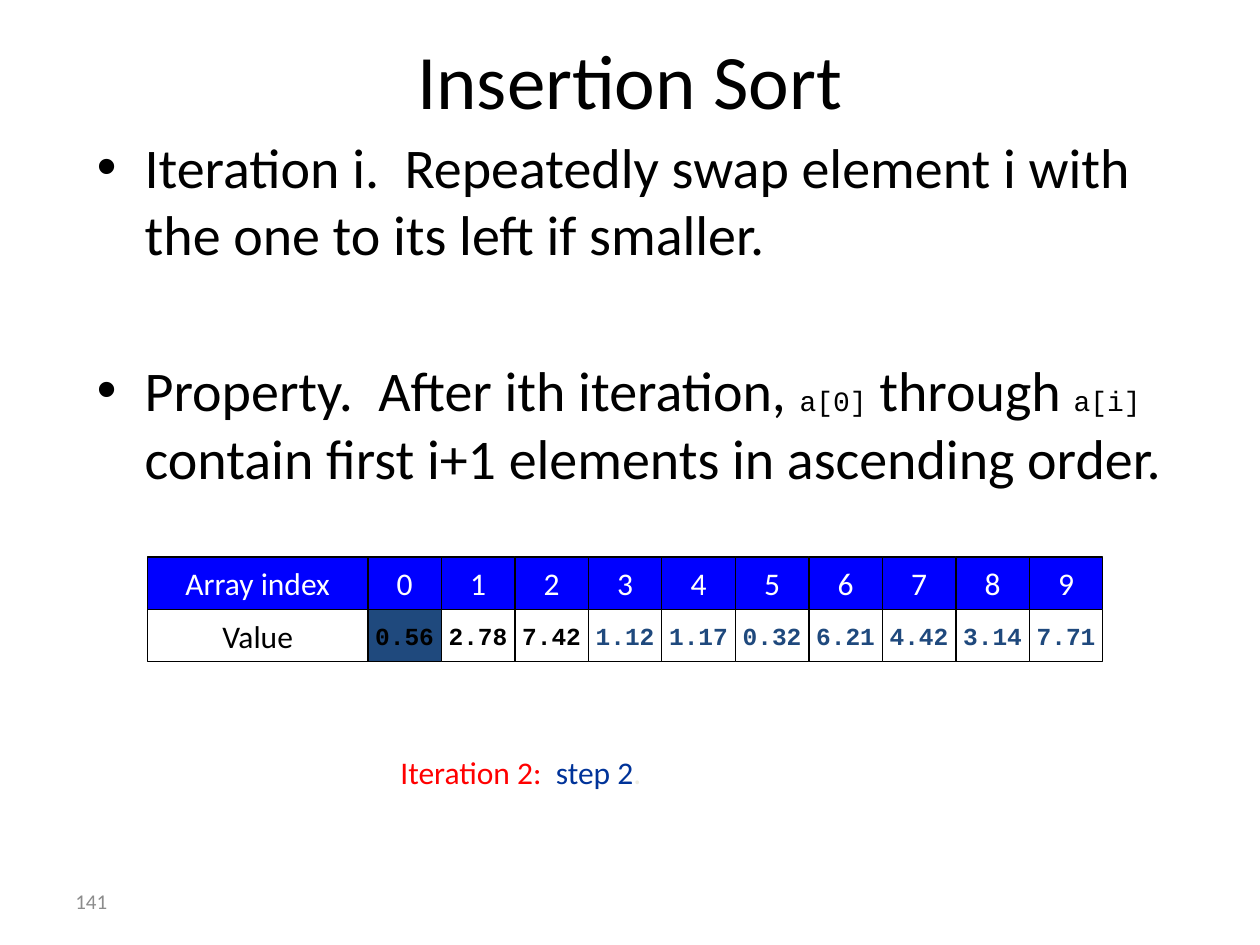
from lxml import etree
from pptx import Presentation
from pptx.dml.color import RGBColor
from pptx.enum.shapes import MSO_SHAPE
from pptx.enum.text import MSO_ANCHOR, PP_ALIGN
from pptx.oxml.ns import qn
from pptx.util import Inches, Pt

BLACK, WHITE, RED, BLUE = "000000", "FFFFFF", "FF0000", "0000FF"
NAVY, ROYAL, GRAY, CREAM = "1F497D", "003399", "8C8C8C", "EEECE1"
BODY, CODE = "Calibri", "Courier New"


def color(value):
    """Turn a hex string into a colour."""
    return RGBColor.from_string(value)


class SlideBuilder:
    """Holds the text style and the slide being built."""

    def __init__(self, slide, font=BODY, size=18, ink=BLACK):
        self.slide, self.font, self.size, self.ink = slide, font, size, ink

    def run(self, paragraph, text, size=None, ink=None, font=None, bold=False):
        """Add one styled run to a paragraph."""
        run = paragraph.add_run()
        run.text = text
        run.font.name = font or self.font
        run.font.size = Pt(size or self.size)
        run.font.bold = bold
        run.font.color.rgb = color(ink or self.ink)

    def text(self, box, runs, align=PP_ALIGN.LEFT, anchor=MSO_ANCHOR.TOP):
        """Add a wrapping text box with one paragraph and return its frame."""
        frame = self.slide.shapes.add_textbox(*map(Inches, box)).text_frame
        frame.word_wrap = True
        frame.vertical_anchor = anchor
        frame.paragraphs[0].alignment = align
        for text, style in runs:
            self.run(frame.paragraphs[0], text, **style)
        return frame

    def bullets(self, box, items, gap):
        """Add a bulleted list with a gap in points between its items."""
        frame = self.text(box, [])
        for number, runs in enumerate(items):
            paragraph = frame.add_paragraph() if number else frame.paragraphs[0]
            paragraph.space_before = Pt(gap if number else 0)
            props = paragraph._p.get_or_add_pPr()
            props.set("marL", str(Inches(0.38)))
            props.set("indent", str(Inches(-0.38)))
            etree.SubElement(props, qn("a:buFont")).set("typeface", "Arial")
            etree.SubElement(props, qn("a:buChar")).set("char", "•")
            for text, style in runs:
                self.run(paragraph, text, **style)

    def cell(self, left, top, width, height, text, fill, **style):
        """Add one outlined array cell with centred text."""
        cell = self.slide.shapes.add_shape(
            MSO_SHAPE.RECTANGLE, *map(Inches, (left, top, width, height)))
        cell.shadow.inherit = False
        if fill:
            cell.fill.solid()
            cell.fill.fore_color.rgb = color(fill)
        else:
            cell.fill.background()
        cell.line.color.rgb = color(BLACK)
        cell.line.width = Pt(0.75)
        frame = cell.text_frame
        frame.word_wrap = False
        frame.vertical_anchor = MSO_ANCHOR.MIDDLE
        frame.paragraphs[0].alignment = PP_ALIGN.CENTER
        self.run(frame.paragraphs[0], text, **style)


def draw_array(page, values, sorted_count):
    """Draw the index row and the value row; unsorted values are navy."""
    left, top, label_width = 1.17, 4.42, 1.75
    width, height = 7 / 12, 5 / 12
    page.cell(left, top, label_width, height, "Array index", BLUE, ink=WHITE)
    page.cell(left, top + height, label_width, height, "Value", WHITE)
    fills = {0: NAVY, sorted_count - 1: None}
    for index, value in enumerate(values):
        x = left + label_width + index * width
        page.cell(x, top, width, height, str(index), BLUE, ink=WHITE)
        page.cell(x, top + height, width, height, f"{value:.2f}",
                  fills.get(index, WHITE), size=14, font=CODE, bold=True,
                  ink=BLACK if index < sorted_count else NAVY)


def main():
    """Build the insertion sort slide."""
    deck = Presentation()
    deck.slide_width, deck.slide_height = Inches(10), Inches(7.5)
    page = SlideBuilder(deck.slides.add_slide(deck.slide_layouts[6]))
    large, code = {"size": 32}, {"size": 16, "font": CODE}

    page.text((0.5, 6.95, 2.33, 0.4), [("141", {"size": 12, "ink": GRAY})],
              anchor=MSO_ANCHOR.MIDDLE)
    page.text((0.5, 0, 9, 1.25), [("Insertion Sort", {"size": 44})],
              PP_ALIGN.CENTER, MSO_ANCHOR.MIDDLE)
    draw_array(page, [0.56, 2.78, 7.42, 1.12, 1.17, 0.32, 6.21, 4.42, 3.14, 7.71],
               sorted_count=3)
    page.text((3.08, 5.93, 4.08, 0.4),
              [("Iteration 2:  ", {"ink": RED}), ("step 2", {"ink": ROYAL}),
               (".", {"ink": CREAM})])
    page.bullets((0.67, 1, 8.83, 5.92), [
        [("Iteration i.  Repeatedly swap element i with the one to its left "
          "if smaller.", large)],
        [("Property.  After ith iteration, ", large), ("a[0]", code),
         (" through ", large), ("a[i]", code),
         (" contain first i+1 elements in ascending order.", large)],
    ], gap=51)
    deck.save("out.pptx")


main()
